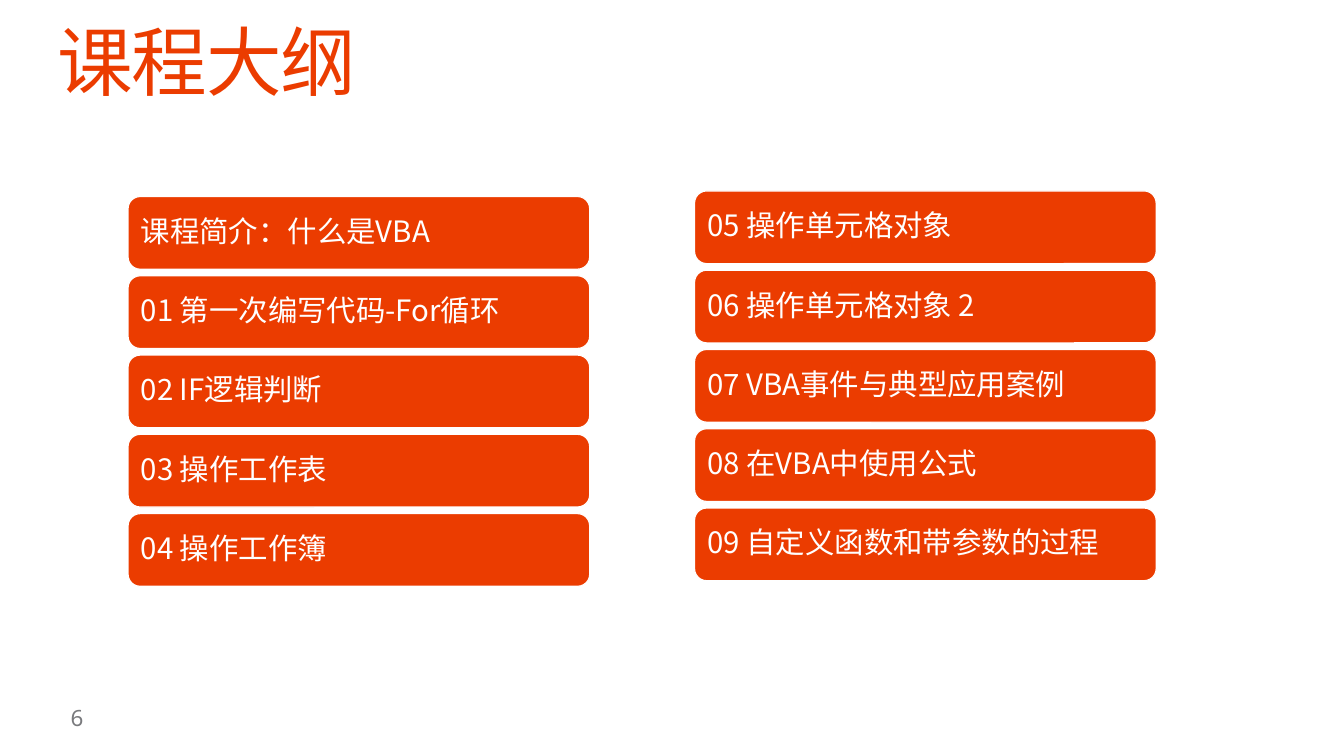
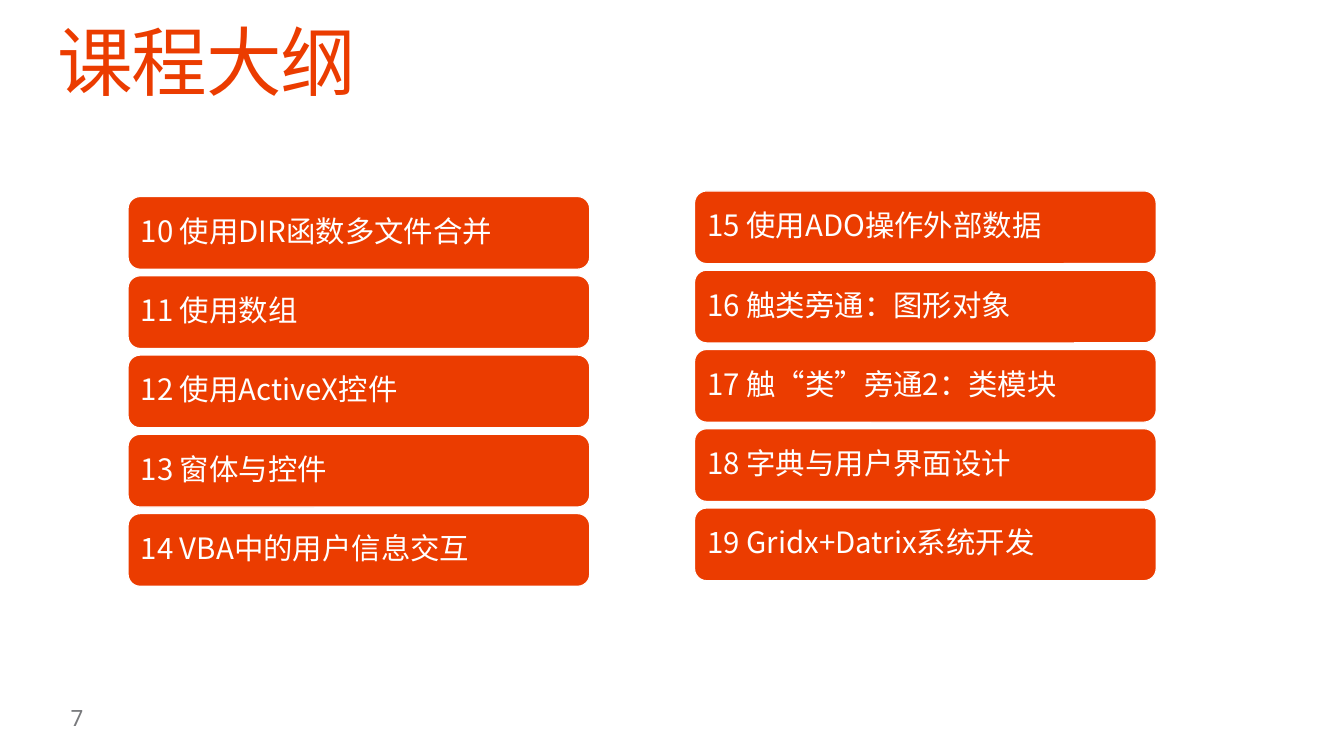
import pptx
import pptx.dml.color
import pptx.enum.shapes
import pptx.enum.text
import pptx.util

ORANGE = pptx.dml.color.RGBColor(0xEB, 0x3C, 0x00)
WHITE = pptx.dml.color.RGBColor(0xFF, 0xFF, 0xFF)
GREY = pptx.dml.color.RGBColor(0x79, 0x7A, 0x7D)
HEADING_FONT = "Noto Sans CJK SC"
NUMBER_FONT = "Noto Sans"

SLIDE_WIDTH = pptx.util.Inches(13.33)
SLIDE_HEIGHT = pptx.util.Inches(7.5)
COLUMN = SLIDE_WIDTH / 100
ROW = SLIDE_HEIGHT / 100

TITLE_BOX = (4.28, 3.33, 91.43, 10.93)
NUMBER_BOX = (4.28, 93.33, 4.58, 3.2)
LESSON_BOXES = ((9.53, 26, 34.35, 51.56), (51.68, 25.26, 34.35, 51.56))
GAP_SHARE = 0.09

HEADING = "课程大纲"
FIRST_NUMBER = 6
OUTLINE = (
    (
        ("课程简介：什么是VBA", "01 第一次编写代码-For循环", "02 IF逻辑判断",
         "03 操作工作表", "04 操作工作簿"),
        ("05 操作单元格对象", "06 操作单元格对象 2", "07 VBA事件与典型应用案例",
         "08 在VBA中使用公式", "09 自定义函数和带参数的过程"),
    ),
    (
        ("10 使用DIR函数多文件合并", "11 使用数组", "12 使用ActiveX控件",
         "13 窗体与控件", "14 VBA中的用户信息交互"),
        ("15 使用ADO操作外部数据", "16 触类旁通：图形对象", "17 触“类”旁通2：类模块",
         "18 字典与用户界面设计", "19 Gridx+Datrix系统开发"),
    ),
)


def to_lengths(box):
    """Turn a box in grid columns and rows into slide lengths."""
    left, top, width, height = box
    return [round(length) for length in
            (left * COLUMN, top * ROW, width * COLUMN, height * ROW)]


def write_line(frame, text, font_name, size, color, anchor, insets):
    """Write one left-aligned line and return its paragraph and run properties."""
    frame.word_wrap = True
    frame.auto_size = pptx.enum.text.MSO_AUTO_SIZE.NONE
    frame.vertical_anchor = anchor
    side, end = (pptx.util.Inches(inset) for inset in insets)
    frame.margin_left = frame.margin_right = side
    frame.margin_top = frame.margin_bottom = end
    frame.text = text
    line = frame.paragraphs[0]
    line.alignment = pptx.enum.text.PP_ALIGN.LEFT
    run = line.runs[0]
    run.font.name = font_name
    run.font.size = pptx.util.Pt(size)
    run.font.color.rgb = color
    properties = run.font._element
    east_asian = properties.makeelement(pptx.oxml.ns.qn("a:ea"), {"typeface": font_name})
    properties.find(pptx.oxml.ns.qn("a:latin")).addnext(east_asian)
    return line, properties


def place_title(slide, box):
    """Move the title placeholder into its box and format the heading."""
    title = slide.shapes.title
    title.left, title.top, title.width, title.height = to_lengths(box)
    line, properties = write_line(title.text_frame, HEADING, HEADING_FONT, 54, ORANGE,
                                  pptx.enum.text.MSO_ANCHOR.TOP, (0, 0))
    line.line_spacing = 0.9
    properties.set("spc", "-100")


def place_number(slide, box, number):
    """Write the page number in the footer."""
    footer = slide.shapes.add_textbox(*to_lengths(box))
    write_line(footer.text_frame, str(number), NUMBER_FONT, 16, GREY,
               pptx.enum.text.MSO_ANCHOR.MIDDLE, (0.13, 0.07))


def place_lessons(slide, box, lessons):
    """Stack one rounded card per lesson, evenly spaced in the box."""
    left, top, width, height = box
    card_height = height / (len(lessons) + (len(lessons) - 1) * GAP_SHARE)
    pitch = card_height * (1 + GAP_SHARE)
    for position, lesson in enumerate(lessons):
        card = slide.shapes.add_shape(
            pptx.enum.shapes.MSO_SHAPE.ROUNDED_RECTANGLE,
            *to_lengths((left, top + position * pitch, width, card_height)))
        card.shadow.inherit = False
        card.fill.solid()
        card.fill.fore_color.rgb = ORANGE
        card.line.color.rgb = WHITE
        card.line.width = pptx.util.Pt(0.85)
        line, _ = write_line(card.text_frame, lesson, HEADING_FONT, 21, WHITE,
                             pptx.enum.text.MSO_ANCHOR.MIDDLE, (0.09, 0.09))
        line.line_spacing = 0.9
        line.space_after = pptx.util.Pt(7)


def build_outline(deck, number, lesson_lists):
    """Add one outline slide with its title, page number and lesson lists."""
    slide = deck.slides.add_slide(deck.slide_layouts.get_by_name("Title Only"))
    place_title(slide, TITLE_BOX)
    place_number(slide, NUMBER_BOX, number)
    for box, lessons in zip(LESSON_BOXES, lesson_lists):
        place_lessons(slide, box, lessons)


def main():
    """Build the course outline and save it."""
    deck = pptx.Presentation()
    deck.slide_width = SLIDE_WIDTH
    deck.slide_height = SLIDE_HEIGHT
    for number, lesson_lists in enumerate(OUTLINE, FIRST_NUMBER):
        build_outline(deck, number, lesson_lists)
    deck.save("out.pptx")


main()
